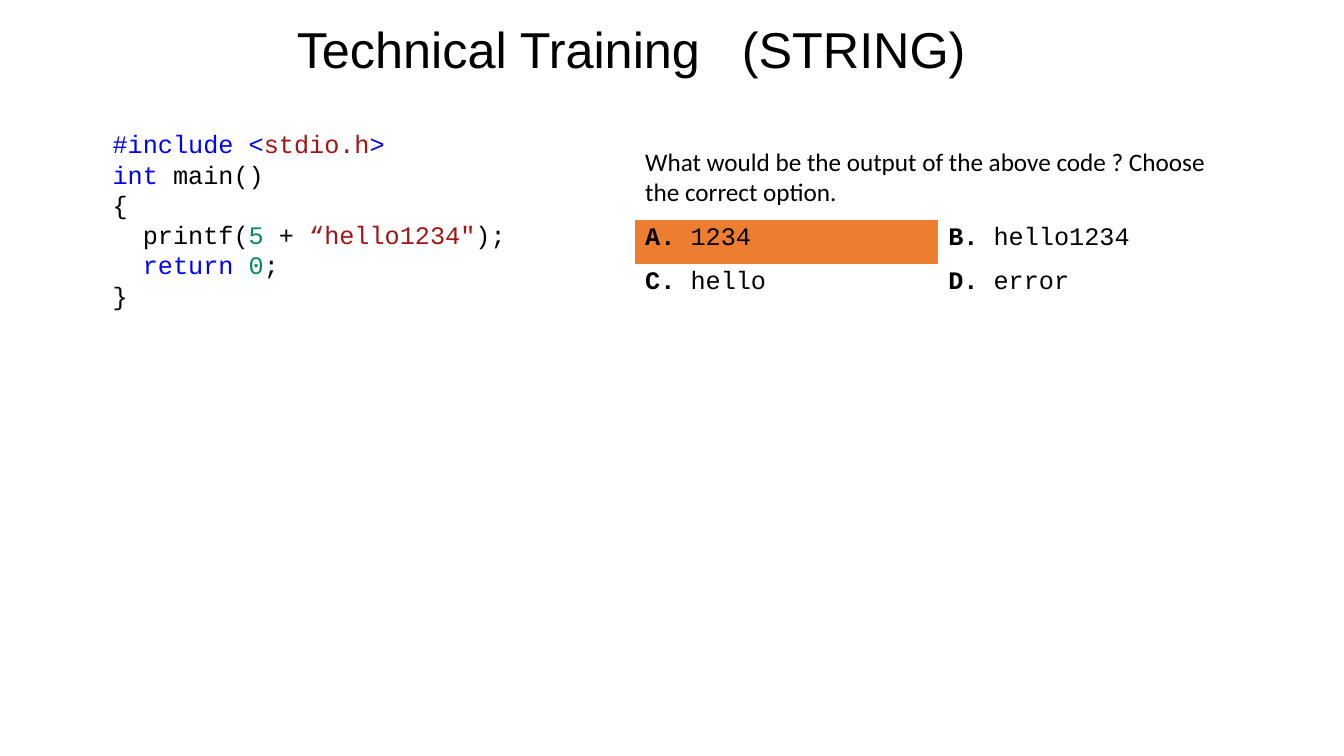
from pptx import Presentation
from pptx.dml.color import RGBColor
from pptx.enum.text import MSO_ANCHOR as Anchor, MSO_AUTO_SIZE as AutoSize, PP_ALIGN as Align
from pptx.oxml.ns import qn
from pptx.util import Cm, Pt

COLORS = {
    "text": "000000",
    "keyword": "0000FF",
    "string": "A31515",
    "number": "09885A",
    "answer": "ED7D31",
}
TITLE_FORMAT = {"name": "Arial", "size": Pt(36), "bold": False}
QUESTION_FORMAT = {"name": "Calibri", "size": Pt(18), "bold": False}
CODE_FORMAT = {"name": "Courier New", "size": Pt(18), "bold": False}
LABEL_FORMAT = CODE_FORMAT | {"bold": True}
NO_STYLE_NO_GRID = "{2D5ABB26-0587-4C30-8999-92F81FD0307C}"

TITLE = "Technical Training   (STRING)"
QUESTION = "What would be the output of the above code ? Choose the correct option."
CODE = [
    [("#include <", "keyword"), ("stdio.h", "string"), (">", "keyword")],
    [("int", "keyword"), (" main()", "text")],
    [("{", "text")],
    [("  printf(", "text"), ("5", "number"), (" + ", "text"),
     ("“hello1234\"", "string"), (");", "text")],
    [("  return ", "keyword"), ("0", "number"), (";", "text")],
    [("}", "text")],
]
OPTIONS = [
    [("A.", "1234"), ("B.", "hello1234")],
    [("C.", "hello"), ("D.", "error")],
]
ANSWER = "A."


def color(name):
    return RGBColor.from_string(COLORS[name])


def add_run(paragraph, text, text_format, color_name="text"):
    run = paragraph.add_run()
    run.text = text
    for attribute, value in text_format.items():
        setattr(run.font, attribute, value)
    run.font.color.rgb = color(color_name)


def place_title(slide):
    title = slide.shapes.title
    title.left, title.top, title.width, title.height = Cm(5.82), Cm(0.33), Cm(20.19), Cm(1.78)
    frame = title.text_frame
    frame.auto_size = AutoSize.NONE
    frame.vertical_anchor = Anchor.MIDDLE
    frame.paragraphs[0].alignment = Align.CENTER
    add_run(frame.paragraphs[0], TITLE, TITLE_FORMAT)


def add_code(slide):
    frame = slide.shapes.add_textbox(Cm(2.59), Cm(3.12), Cm(13.74), Cm(5.59)).text_frame
    frame.word_wrap = True
    for index, line in enumerate(CODE):
        paragraph = frame.add_paragraph() if index else frame.paragraphs[0]
        for text, color_name in line:
            add_run(paragraph, text, CODE_FORMAT, color_name)


def add_quiz(slide):
    """Add the question over a grid of options, with the answer filled."""
    row_heights = [Cm(1.96), Cm(1.1), Cm(1.1)]
    graphic_frame = slide.shapes.add_table(
        len(row_heights), 2, Cm(16.01), Cm(3.58), Cm(15.28), sum(row_heights))
    graphic_frame.element.find(f".//{qn('a:tableStyleId')}").text = NO_STYLE_NO_GRID
    table = graphic_frame.table
    table.first_row = table.horz_banding = False
    for row, height in zip(table.rows, row_heights):
        row.height = height

    question = table.cell(0, 0)
    question.merge(table.cell(0, 1))
    question.fill.background()
    add_run(question.text_frame.paragraphs[0], QUESTION, QUESTION_FORMAT)

    for row_index, options in enumerate(OPTIONS, start=1):
        for column_index, (label, text) in enumerate(options):
            cell = table.cell(row_index, column_index)
            if label == ANSWER:
                cell.fill.solid()
                cell.fill.fore_color.rgb = color("answer")
            else:
                cell.fill.background()
            paragraph = cell.text_frame.paragraphs[0]
            add_run(paragraph, label, LABEL_FORMAT)
            add_run(paragraph, f" {text}", CODE_FORMAT)


def main():
    presentation = Presentation()
    presentation.slide_width, presentation.slide_height = Cm(33.88), Cm(19.05)
    title_only = presentation.slide_layouts[5]
    slide = presentation.slides.add_slide(title_only)
    add_quiz(slide)
    place_title(slide)
    add_code(slide)
    presentation.save("out.pptx")


if __name__ == "__main__":
    main()
